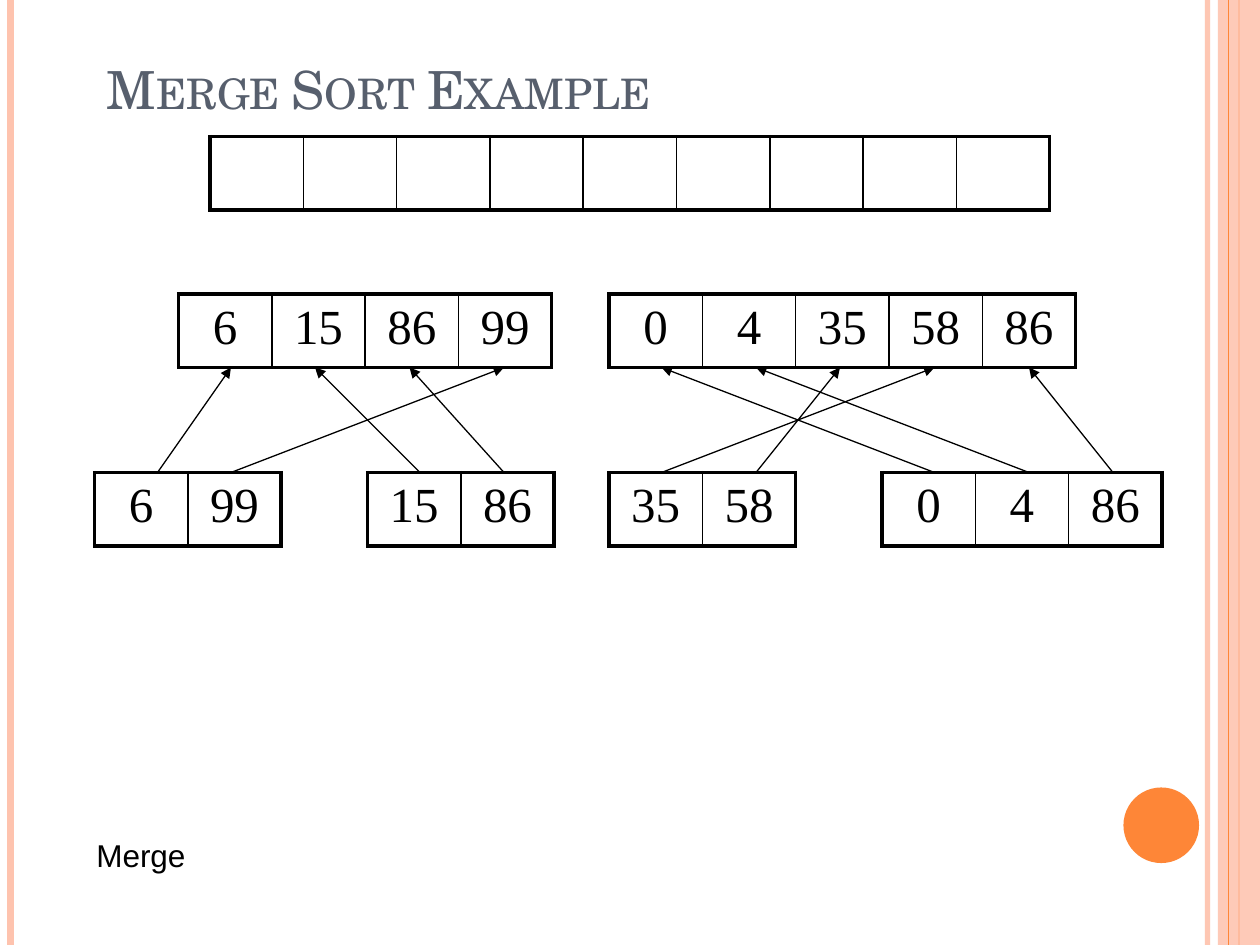
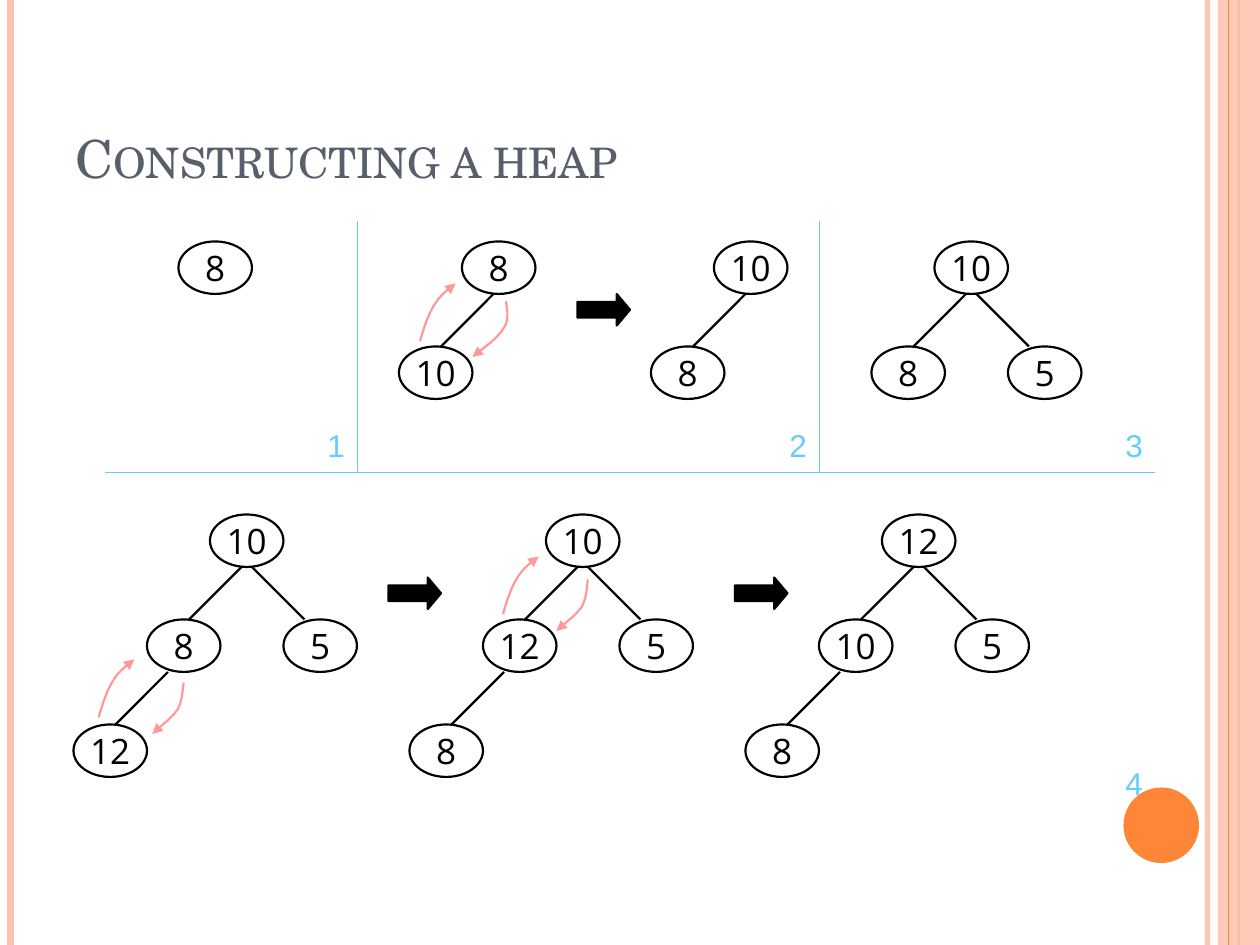
"""Build two slides on sorting: merging arrays and constructing a heap."""
from dataclasses import dataclass

from lxml import etree
from pptx import Presentation
from pptx.dml.color import RGBColor
from pptx.enum.shapes import MSO_CONNECTOR, MSO_SHAPE
from pptx.enum.text import MSO_ANCHOR, PP_ALIGN
from pptx.oxml.ns import qn
from pptx.util import Inches, Pt

STRAIGHT = MSO_CONNECTOR.STRAIGHT
OVAL, RECTANGLE, RIGHT_ARROW = MSO_SHAPE.OVAL, MSO_SHAPE.RECTANGLE, MSO_SHAPE.RIGHT_ARROW
TOP, MIDDLE, BOTTOM = MSO_ANCHOR.TOP, MSO_ANCHOR.MIDDLE, MSO_ANCHOR.BOTTOM
LEFT, CENTER = PP_ALIGN.LEFT, PP_ALIGN.CENTER

COLUMNS, ROWS = 120, 90
CELL_WIDTH, CELL_HEIGHT = 80 / 9, 7
NODE_WIDTH, NODE_HEIGHT = 7, 5

NODE_OFFSETS = [(0, 0), (-6, 10), (7, 10), (-13, 20)]
EDGE_OFFSETS = [None, (3, 5, -2, 10), (4, 5, 9, 10), (-4, 15, -9, 20)]

RISE = [(0, 5.5), (0.1, 5.2), (0.4, 4.1), (0.7, 3.4), (1, 2.6),
        (1.4, 1.9), (1.9, 1.3), (2.4, 0.8), (3.1, 0.2), (3.4, 0)]
WIDE_FALL = [(3.2, 0), (3.2, 0.4), (3.6, 1.7), (3, 2.5), (2.4, 3.5), (0.6, 4.8), (0, 5.3)]
FALL = [(3, 0), (2.9, 0.4), (2.9, 1.8), (2.4, 2.6), (1.8, 3.4), (0.5, 4.4), (0, 4.9)]


@dataclass(frozen=True)
class Theme:
    """Colours, fonts and line widths of the deck."""
    ink: str = "000000"
    title: str = "575F6D"
    orange: str = "FE8637"
    peach: str = "FEC3AE"
    sky: str = "66CCFF"
    pink: str = "FF9999"
    hairline: float = 0.5
    thin: float = 0.75
    inner: float = 1
    outline: float = 1.25
    frame: float = 2.25


THEME = Theme()
TITLE_FONT = {"name": "TeX Gyre Schola", "size": Pt(30)}
ARRAY_FONT = {"name": "Times New Roman", "size": Pt(28)}
NODE_FONT = {"name": "Open Sans", "size": Pt(20)}
NOTE_FONT = {"name": "Arial", "size": Pt(18)}


def grid(*units):
    """Turn grid units of a twelfth of an inch into lengths."""
    return [Inches(unit / 12) for unit in units]


def apply(target, values):
    """Set each named attribute of the target."""
    for name, value in values.items():
        setattr(target, name, value)


def write(frame, text, font, color, align=LEFT):
    """Put one formatted span into a text frame and return it."""
    para = frame.paragraphs[0]
    para.alignment = align
    span = para.add_run()
    span.text = text
    apply(span.font, font)
    span.font.color.rgb = RGBColor.from_string(color)
    return span


def paint_line(shape, color, width):
    """Give a shape or connector a solid line."""
    shape.line.color.rgb = RGBColor.from_string(color)
    shape.line.width = Pt(width)


def add_head(shape):
    """Put a triangle at the end of a line."""
    outline = shape._element.find(".//" + qn("a:ln"))
    etree.SubElement(outline, qn("a:tailEnd"), type="triangle")


def fade(shape, percent):
    """Set the opacity of the first colour of a shape."""
    color = shape._element.spPr.find(".//" + qn("a:srgbClr"))
    etree.SubElement(color, qn("a:alpha"), val=str(percent * 1000))


def add_line(page, ends, color, width, head=False):
    """Draw a straight line, with an arrowhead if wanted."""
    line = page.shapes.add_connector(STRAIGHT, *grid(*ends))
    paint_line(line, color, width)
    if head:
        add_head(line)
    etree.SubElement(line._element.spPr, qn("a:effectLst"))
    return line


def add_preset(page, kind, place, fill=None, line=None):
    """Draw a preset shape with an optional fill and line colour."""
    shape = page.shapes.add_shape(kind, *grid(*place))
    shape.shadow.inherit = False
    if fill:
        shape.fill.solid()
        shape.fill.fore_color.rgb = RGBColor.from_string(fill)
    else:
        shape.fill.background()
    if line:
        paint_line(shape, line, THEME.outline)
    else:
        shape.line.fill.background()
    return shape


def add_text(page, place, text, font, color, anchor=TOP):
    """Add a wrapped text box and return its span."""
    box = page.shapes.add_textbox(*grid(*place))
    apply(box.text_frame, {"word_wrap": True, "vertical_anchor": anchor})
    return write(box.text_frame, text, font, color)


def add_page(deck, title, place):
    """Add a slide with the side bands, the disc and its title."""
    page = deck.slides.add_slide(deck.slide_layouts[6])
    fade(add_line(page, (115, 0, 115, ROWS), THEME.peach, 3), 93)
    add_line(page, (1, 0, 1, ROWS), THEME.peach, 4.5)
    add_line(page, (118, 0, 118, ROWS), THEME.orange, 1.5)
    fade(add_preset(page, RECTANGLE, (116, 0, 4, ROWS), THEME.peach), 87)
    add_line(page, (117, 0, 117, ROWS), THEME.orange, THEME.thin)
    add_preset(page, OVAL, (107, 75, 7.2, 7.2), THEME.orange)
    span = add_text(page, place, title, TITLE_FONT, THEME.title, BOTTOM)
    span.font._element.set("cap", "small")
    return page


def add_borders(cell, widths):
    """Draw the left, right, top and bottom borders of a cell."""
    properties = cell._tc.get_or_add_tcPr()
    for index, (side, width) in enumerate(zip("LRTB", widths)):
        border = etree.Element(qn(f"a:ln{side}"), w=str(Pt(width)))
        fill = etree.SubElement(border, qn("a:solidFill"))
        etree.SubElement(fill, qn("a:srgbClr"), val=THEME.ink)
        properties.insert(index, border)


def add_array(page, left, top, values):
    """Draw an array as a table of one row."""
    count = len(values)
    place = grid(left, top, count * CELL_WIDTH, CELL_HEIGHT)
    table = page.shapes.add_table(1, count, *place).table
    apply(table, {"first_row": False, "horz_banding": False})
    for index, value in enumerate(values):
        table.columns[index].width = grid(CELL_WIDTH)[0]
        cell = table.cell(0, index)
        cell.fill.background()
        start = THEME.frame if index == 0 else THEME.inner
        end = THEME.frame if index == count - 1 else THEME.inner
        add_borders(cell, (start, end, THEME.frame, THEME.frame))
        if value:
            write(cell.text_frame, value, ARRAY_FONT, THEME.ink, CENTER)


def add_node(page, left, top, value):
    """Draw a heap node with its value."""
    node = add_preset(page, OVAL, (left, top, NODE_WIDTH, NODE_HEIGHT), line=THEME.ink)
    apply(node.text_frame, {"word_wrap": False, "vertical_anchor": MIDDLE})
    write(node.text_frame, value, NODE_FONT, THEME.ink, CENTER)


def add_heap(page, left, top, values):
    """Draw a heap: root, left child, right child, left grandchild."""
    for value, (across, down), edge in zip(values, NODE_OFFSETS, EDGE_OFFSETS):
        add_node(page, left + across, top + down, value)
        if edge:
            ends = [base + step for base, step in zip((left, top) * 2, edge)]
            add_line(page, ends, THEME.ink, THEME.outline)


def add_curve(page, left, top, points):
    """Draw a curved arrow through Bezier points."""
    start, *rest = [grid(left + across, top + down) for across, down in points]
    builder = page.shapes.build_freeform(*start)
    builder.add_line_segments(rest, close=False)
    curve = builder.convert_to_shape()
    curve.shadow.inherit = False
    curve.fill.background()
    paint_line(curve, THEME.pink, THEME.outline)
    add_head(curve)
    outline = curve._element.find(".//" + qn("a:pathLst"))[0]
    segments = outline.findall(qn("a:lnTo"))
    for index in range(0, len(segments), 3):
        bend = etree.SubElement(outline, qn("a:cubicBezTo"))
        for segment in segments[index:index + 3]:
            bend.append(segment[0])
            outline.remove(segment)


def add_step_arrow(page, left, top):
    """Draw a block arrow between two heap states."""
    arrow = add_preset(page, RIGHT_ARROW, (left, top, 5, 3), THEME.ink, THEME.ink)
    arrow.adjustments[1] = 0.42


def build_merge_page(deck):
    """Build the slide that merges sorted arrays."""
    page = add_page(deck, "Merge Sort Example", (9, 0, 102, 12))
    arrays = [
        (20, 13, [""] * 9),
        (17, 28, ["6", "15", "86", "99"]),
        (58, 28, ["0", "4", "35", "58", "86"]),
        (9, 45, ["6", "99"]),
        (35, 45, ["15", "86"]),
        (58, 45, ["35", "58"]),
        (84, 45, ["0", "4", "86"]),
    ]
    for left, top, values in arrays:
        add_array(page, left, top, values)
    add_text(page, (8, 79, 61, 6), "Merge", NOTE_FONT, THEME.ink)
    moves = [(15, 22), (40, 30), (22, 48), (48, 39), (63, 89),
             (89, 63), (98, 72), (72, 80), (106, 98)]
    for source, target in moves:
        add_line(page, (source, 45, target, 35), THEME.ink, THEME.thin, head=True)


def build_heap_page(deck):
    """Build the slide that constructs a heap in four steps."""
    page = add_page(deck, "Constructing a heap", (6, 3.6, 98, 15))
    for ends in [(10, 45, 110, 45), (34, 21, 34, 45), (78, 21, 78, 45)]:
        add_line(page, ends, THEME.sky, THEME.hairline)
    heaps = [
        (17, 23, ["8"]),
        (44, 23, ["8", "10"]),
        (68, 23, ["10", "8"]),
        (89, 23, ["10", "8", "5"]),
        (20, 49, ["10", "8", "5", "12"]),
        (52, 49, ["10", "12", "5", "8"]),
        (84, 49, ["12", "10", "5", "8"]),
    ]
    for left, top, values in heaps:
        add_heap(page, left, top, values)
    curves = [
        (40, 27, RISE), (45, 28.7, WIDE_FALL),
        (9.4, 62.8, RISE), (14.5, 65, FALL),
        (47.9, 53, RISE), (53, 55.2, FALL),
    ]
    for left, top, points in curves:
        add_curve(page, left, top, points)
    for left, top in [(55, 28), (37, 55), (70, 55)]:
        add_step_arrow(page, left, top)
    corners = [(30, 40), (74, 40), (106, 40), (106, 72.2)]
    for number, (left, top) in enumerate(corners, start=1):
        add_text(page, (left, top, 5, 4.8), str(number), NOTE_FONT, THEME.sky)


def main():
    """Build and save the deck."""
    deck = Presentation()
    deck.slide_width, deck.slide_height = grid(COLUMNS, ROWS)
    build_merge_page(deck)
    build_heap_page(deck)
    deck.save("out.pptx")


if __name__ == "__main__":
    main()
